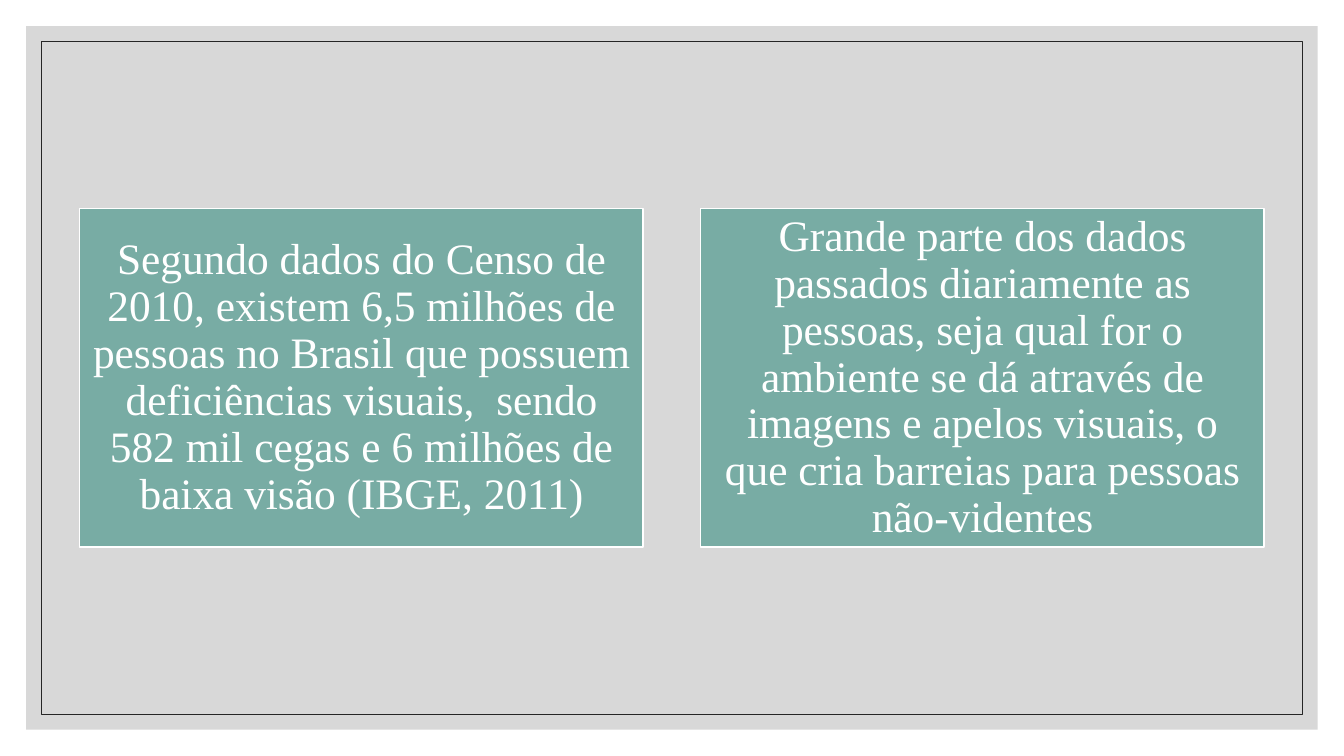
from dataclasses import dataclass

from pptx import Presentation
from pptx import util as u
from pptx.dml.color import RGBColor
from pptx.enum import shapes, text
from pptx.oxml import parse_xml
from pptx.oxml.ns import nsdecls


@dataclass(frozen=True)
class Theme:
    panel: str = "BFBFBF"
    panel_alpha: int = 60
    frame: str = "262626"
    card: str = "78ACA4"
    white: str = "FFFFFF"
    font: str = "Times New Roman"
    size: int = 31


THEME = Theme()
SLIDE_W, SLIDE_H = 33.87, 19.05
CARD_W, CARD_H, CARD_TOP = 14.2, 8.53, 5.26
CARD_LEFT, CARD_STEP = 2.01, 15.65
CARDS = [
    "Segundo dados do Censo de 2010, existem 6,5 milhões de pessoas no Brasil "
    "que possuem deficiências visuais,  sendo 582 mil cegas e 6 milhões de "
    "baixa visão (IBGE, 2011)",
    "Grande parte dos dados passados diariamente as pessoas, seja qual for o "
    "ambiente se dá através de imagens e apelos visuais, o que cria barreias "
    "para pessoas não-videntes",
]


def set_all(target, values):
    for name, value in values.items():
        setattr(target, name, value)


def add_box(s, left, top, width, height, fill=None, line=None, line_pt=1):
    sp = s.shapes.add_shape(shapes.MSO_SHAPE.RECTANGLE,
                            *map(u.Cm, (left, top, width, height)))
    sp.shadow.inherit = False
    if fill:
        sp.fill.solid()
        sp.fill.fore_color.rgb = RGBColor.from_string(fill)
    else:
        sp.fill.background()
    if line:
        sp.line.color.rgb = RGBColor.from_string(line)
        sp.line.width = u.Pt(line_pt)
    else:
        sp.line.fill.background()
    return sp


def add_inset_box(s, margin, **style):
    """Rectangle at an equal margin from every slide edge."""
    return add_box(s, margin, margin, SLIDE_W - 2 * margin,
                   SLIDE_H - 2 * margin, **style)


def set_alpha(sp, percent):
    color = sp.fill._xPr.find(".//{*}srgbClr")
    color.append(parse_xml(f'<a:alpha {nsdecls("a")} val="{percent * 1000}"/>'))


def add_card(s, left, wording):
    sp = add_box(s, left, CARD_TOP, CARD_W, CARD_H, THEME.card, THEME.white)
    tf = sp.text_frame
    inset = u.Cm(0.33)
    set_all(tf, {
        "word_wrap": True,
        "vertical_anchor": text.MSO_ANCHOR.MIDDLE,
        "margin_left": inset, "margin_right": inset,
        "margin_top": inset, "margin_bottom": inset,
    })
    p = tf.paragraphs[0]
    set_all(p, {"alignment": text.PP_ALIGN.CENTER, "line_spacing": 0.9})
    r = p.add_run()
    r.text = wording
    set_all(r.font, {"name": THEME.font, "size": u.Pt(THEME.size)})
    r.font.color.rgb = RGBColor.from_string(THEME.white)


def main():
    prs = Presentation()
    set_all(prs, {"slide_width": u.Cm(SLIDE_W), "slide_height": u.Cm(SLIDE_H)})
    s = prs.slides.add_slide(prs.slide_layouts[6])

    # Backdrop: translucent panel and thin frame
    panel = add_inset_box(s, 0.66, fill=THEME.panel)
    set_alpha(panel, THEME.panel_alpha)
    add_inset_box(s, 1.04, line=THEME.frame, line_pt=0.5)

    # Two cards side by side
    for i, wording in enumerate(CARDS):
        add_card(s, CARD_LEFT + i * CARD_STEP, wording)

    prs.save("out.pptx")


if __name__ == "__main__":
    main()
